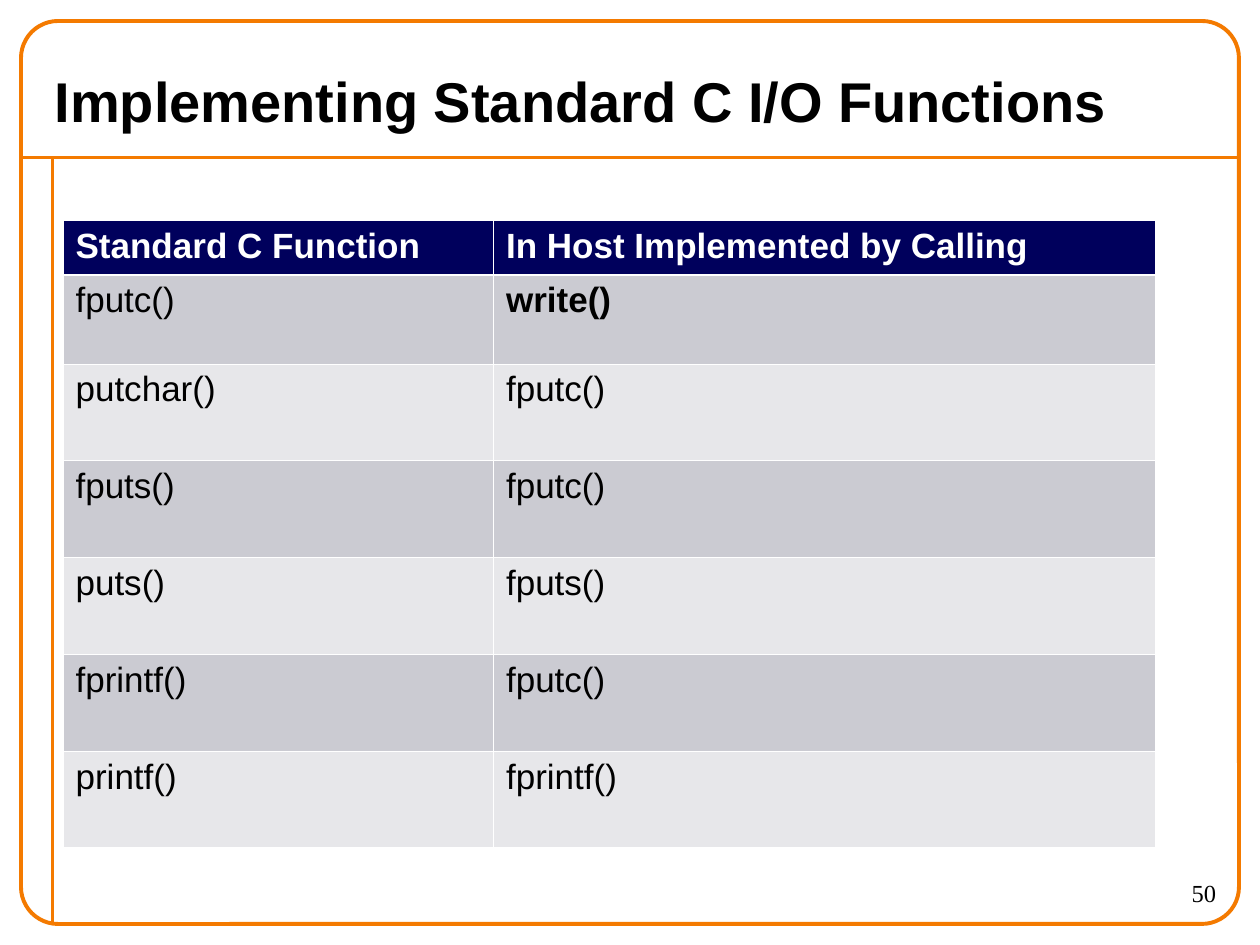
"""Build the slide on how the standard C output functions are implemented on a host."""
from lxml.etree import SubElement as Sub
from pptx import Presentation
from pptx.dml.color import RGBColor as Rgb
from pptx.enum.shapes import MSO_CONNECTOR as Connector, MSO_SHAPE as Shape
from pptx.enum.text import MSO_ANCHOR as Anchor, PP_ALIGN as Align
from pptx.oxml.ns import qn
from pptx.util import Inches, Pt

COLORS = {
    "frame": "F47A00",
    "text": "000000",
    "page": "FFFFFF",
    "header": "00005C",
    "odd": "CBCBD2",
    "even": "E7E7EA",
}
GRID_PER_INCH = 12
COLUMN_WIDTHS = (41, 63)
ROW_HEIGHTS = (5.16, 8.5) + (9.22,) * 5
THIN, THICK = 0.45, 1.47
CALLS = (
    ("Standard C Function", "In Host Implemented by Calling"),
    ("fputc()", "write()"),
    ("putchar()", "fputc()"),
    ("fputs()", "fputc()"),
    ("puts()", "fputs()"),
    ("fprintf()", "fputc()"),
    ("printf()", "fprintf()"),
)


def grid(*steps):
    """Turn grid steps into lengths."""
    return [Inches(step / GRID_PER_INCH) for step in steps]


def color(name):
    """Look up a named colour."""
    return Rgb.from_string(COLORS[name])


def add_text(para, text, size, font="Arial", ink="text", bold=False):
    """Add one formatted run to a paragraph."""
    span = para.add_run()
    span.text = text
    span.font.name, span.font.size, span.font.bold = font, Pt(size), bold
    span.font.color.rgb = color(ink)


def style_line(line):
    """Give a line the frame's colour and width."""
    line.color.rgb = color("frame")
    line.width = Pt(2.25)


def add_rule(page, *ends):
    """Draw a straight rule between two grid points."""
    rule = page.shapes.add_connector(Connector.STRAIGHT, *grid(*ends))
    style_line(rule.line)
    Sub(rule._element.spPr, qn("a:effectLst"))


def add_frame(page, *place):
    """Draw the rounded frame around the slide."""
    frame = page.shapes.add_shape(Shape.ROUNDED_RECTANGLE, *grid(*place))
    frame.adjustments[0] = 0.041
    frame.shadow.inherit = False
    frame.fill.background()
    style_line(frame.line)


def set_title(page, text, *place):
    """Place and fill the title placeholder."""
    title = page.shapes.title
    title.left, title.top, title.width, title.height = grid(*place)
    title.text_frame.vertical_anchor = Anchor.MIDDLE
    para = title.text_frame.paragraphs[0]
    para.alignment = Align.LEFT
    add_text(para, text, 32, bold=True)


def set_borders(cell, top, bottom):
    """Give a cell white borders, with its own top and bottom widths."""
    properties = cell._tc.get_or_add_tcPr()
    for side, width in (("L", THIN), ("R", THIN), ("T", top), ("B", bottom)):
        border = Sub(properties, qn(f"a:ln{side}"), w=str(Pt(width)))
        fill = Sub(border, qn("a:solidFill"))
        Sub(fill, qn("a:srgbClr"), val=COLORS["page"])


def fill_cell(cell, text, row):
    """Write and style one table cell by its row."""
    header = row == 0
    set_borders(cell, THICK if row == 1 else THIN, THICK if header else THIN)
    cell.fill.solid()
    cell.fill.fore_color.rgb = color("header" if header else "odd" if row % 2 else "even")
    ink = "page" if header else "text"
    add_text(cell.text_frame.paragraphs[0], text, 20, ink=ink, bold=header or text == "write()")


def add_calls_table(page, left, top):
    """Add the table of functions and the calls behind them."""
    place = grid(left, top, sum(COLUMN_WIDTHS), sum(ROW_HEIGHTS))
    table = page.shapes.add_table(len(CALLS), len(COLUMN_WIDTHS), *place).table
    for column, width in zip(table.columns, grid(*COLUMN_WIDTHS)):
        column.width = width
    for row, height in zip(table.rows, grid(*ROW_HEIGHTS)):
        row.height = height
    for row, texts in enumerate(CALLS):
        for column, text in enumerate(texts):
            fill_cell(table.cell(row, column), text, row)


def add_page_number(page, number, *place):
    """Add the page number, aligned right."""
    box = page.shapes.add_textbox(*grid(*place))
    box.text_frame.word_wrap = True
    para = box.text_frame.paragraphs[0]
    para.alignment = Align.RIGHT
    add_text(para, number, 14, font="Times New Roman")


def main():
    """Build and save the deck."""
    deck = Presentation()
    deck.slide_width, deck.slide_height = grid(120, 90)
    page = deck.slides.add_slide(deck.slide_layouts[5])
    add_rule(page, 2, 15, 118, 15)
    add_rule(page, 5, 15, 5, 88)
    add_frame(page, 2, 2, 116, 86)
    set_title(page, "Implementing Standard C I/O Functions", 4, 5, 112, 9)
    add_calls_table(page, 6, 21)
    add_page_number(page, "50", 105, 83, 12, 5)
    deck.save("out.pptx")


if __name__ == "__main__":
    main()
